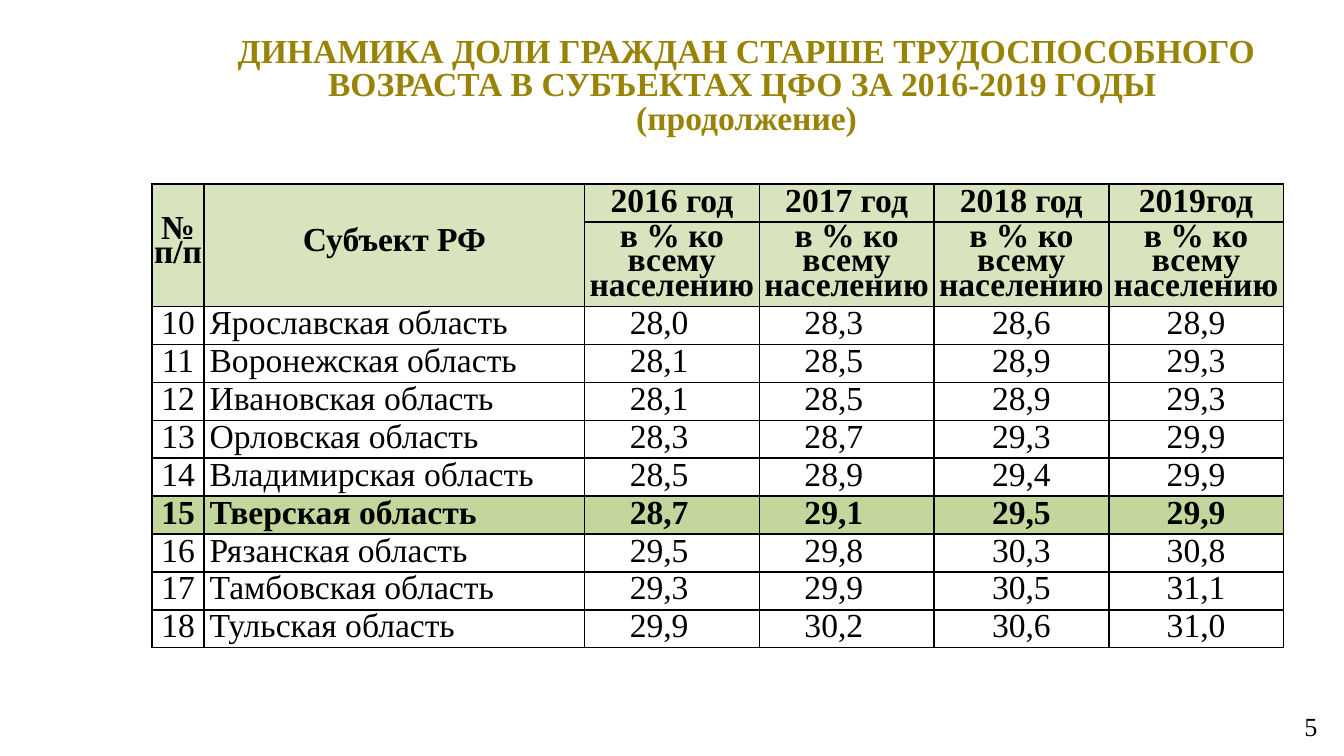
from lxml import etree
from pptx import Presentation
from pptx.dml.color import RGBColor
from pptx.enum.text import MSO_ANCHOR, PP_ALIGN
from pptx.oxml.ns import qn
from pptx.util import Inches, Pt

LEFT, CENTER, RIGHT = PP_ALIGN.LEFT, PP_ALIGN.CENTER, PP_ALIGN.RIGHT
MIDDLE, BOTTOM = MSO_ANCHOR.MIDDLE, MSO_ANCHOR.BOTTOM

COLORS = {
    "title": "998307",
    "text": "000000",
    "border": "000000",
    "header": "D7E4BD",
    "highlight": "C3D69B",
}
FONT = "Times New Roman"

TITLE = (
    "ДИНАМИКА ДОЛИ ГРАЖДАН СТАРШЕ ТРУДОСПОСОБНОГО "
    "ВОЗРАСТА В СУБЪЕКТАХ ЦФО ЗА 2016-2019 ГОДЫ \v(продолжение)"
)
PAGE_NUMBER = "5"
ROW_TITLES = ["№ п/п", "Субъект РФ"]
YEARS = ["2016 год", "2017 год", "2018 год", "2019год"]
UNIT = "в % ко всему населению"
FIRST_NUMBER = 10
HIGHLIGHTED = "Тверская область"
REGIONS = [
    ("Ярославская область", "28,0", "28,3", "28,6", "28,9"),
    ("Воронежская область", "28,1", "28,5", "28,9", "29,3"),
    ("Ивановская область", "28,1", "28,5", "28,9", "29,3"),
    ("Орловская область", "28,3", "28,7", "29,3", "29,9"),
    ("Владимирская область", "28,5", "28,9", "29,4", "29,9"),
    ("Тверская область", "28,7", "29,1", "29,5", "29,9"),
    ("Рязанская область", "29,5", "29,8", "30,3", "30,8"),
    ("Тамбовская область", "29,3", "29,9", "30,5", "31,1"),
    ("Тульская область", "29,9", "30,2", "30,6", "31,0"),
]

COLUMN_WIDTHS = [0.39, 2.83] + [1.3] * len(YEARS)
ROW_HEIGHTS = [0.28, 0.63] + [0.28] * len(REGIONS)
CELL_INSETS = (0.04, 0.04, 0.04, 0.02)
NUMBER_INSETS = (0, 0.04, 0, 0.02)
UNIT_INSETS = (0, 0.04, 0, 0)
SHIFTED_INSETS = (0.04, 0.04, 0.23, 0.02)
VALUE_INSETS = (0.01, 0.04, 0.01, 0.02)
VALUE_COLUMN_INSETS = [SHIFTED_INSETS, SHIFTED_INSETS, VALUE_INSETS, VALUE_INSETS]


def write_text(frame, text, size=18, color="text", bold=False, align=CENTER, spacing=None):
    frame.word_wrap = True
    paragraph = frame.paragraphs[0]
    paragraph.text = text
    paragraph.alignment = align
    if spacing:
        paragraph.line_spacing = Pt(spacing)
    for run in paragraph.runs:
        run.font.name = FONT
        run.font.size = Pt(size)
        run.font.bold = bold
        run.font.color.rgb = RGBColor.from_string(COLORS[color])


def add_text_box(slide, box, text, **text_format):
    frame = slide.shapes.add_textbox(*map(Inches, box)).text_frame
    frame.vertical_anchor = MIDDLE
    write_text(frame, text, **text_format)


def add_borders(cell):
    properties = cell._tc.get_or_add_tcPr()
    for side in ("a:lnL", "a:lnR", "a:lnT", "a:lnB"):
        line = etree.SubElement(properties, qn(side), w=str(Pt(1)))
        fill = etree.SubElement(line, qn("a:solidFill"))
        etree.SubElement(fill, qn("a:srgbClr"), val=COLORS["border"])


def fill_cell(cell, text, insets=CELL_INSETS, fill=None, anchor=MIDDLE, spacing=16, **text_format):
    cell.margin_left, cell.margin_top, cell.margin_right, cell.margin_bottom = map(Inches, insets)
    cell.vertical_anchor = anchor
    if fill:
        cell.fill.solid()
        cell.fill.fore_color.rgb = RGBColor.from_string(COLORS[fill])
    else:
        cell.fill.background()
    write_text(cell.text_frame, text, spacing=spacing, **text_format)


def add_region_table(slide):
    frame = slide.shapes.add_table(
        len(ROW_HEIGHTS), len(COLUMN_WIDTHS), Inches(1.13), Inches(1.37),
        Inches(sum(COLUMN_WIDTHS)), Inches(sum(ROW_HEIGHTS)),
    )
    table = frame.table
    table.first_row = table.horz_banding = False
    for column, width in zip(table.columns, COLUMN_WIDTHS):
        column.width = Inches(width)
    for row, height in zip(table.rows, ROW_HEIGHTS):
        row.height = Inches(height)
    for cell in table.iter_cells():
        add_borders(cell)

    header = {"fill": "header", "bold": True}
    for column, (text, insets) in enumerate(zip(ROW_TITLES, (NUMBER_INSETS, CELL_INSETS))):
        table.cell(0, column).merge(table.cell(1, column))
        fill_cell(table.cell(0, column), text, insets=insets, spacing=13, **header)
    for column, year in enumerate(YEARS, start=len(ROW_TITLES)):
        fill_cell(table.cell(0, column), year, **header)
        fill_cell(table.cell(1, column), UNIT, insets=UNIT_INSETS, spacing=13, **header)

    for index, (region, *values) in enumerate(REGIONS):
        row = index + 2
        highlighted = region == HIGHLIGHTED
        style = {"fill": "highlight" if highlighted else None, "bold": highlighted}
        fill_cell(table.cell(row, 0), str(FIRST_NUMBER + index), anchor=BOTTOM, **style)
        fill_cell(table.cell(row, 1), region, anchor=BOTTOM, align=LEFT, **style)
        for column, (value, insets) in enumerate(zip(values, VALUE_COLUMN_INSETS), start=2):
            fill_cell(table.cell(row, column), value, insets=insets, **style)


def main():
    presentation = Presentation()
    presentation.slide_width = Inches(10)
    presentation.slide_height = presentation.slide_width * 9 // 16
    slide = presentation.slides.add_slide(presentation.slide_layouts[6])
    add_text_box(slide, (1.11, 0.35, 8.89, 0.59), TITLE, color="title", bold=True, spacing=18)
    add_region_table(slide)
    add_text_box(slide, (7.65, 5.25, 2.25, 0.3), PAGE_NUMBER, size=14, align=RIGHT)
    presentation.save("out.pptx")


if __name__ == "__main__":
    main()
